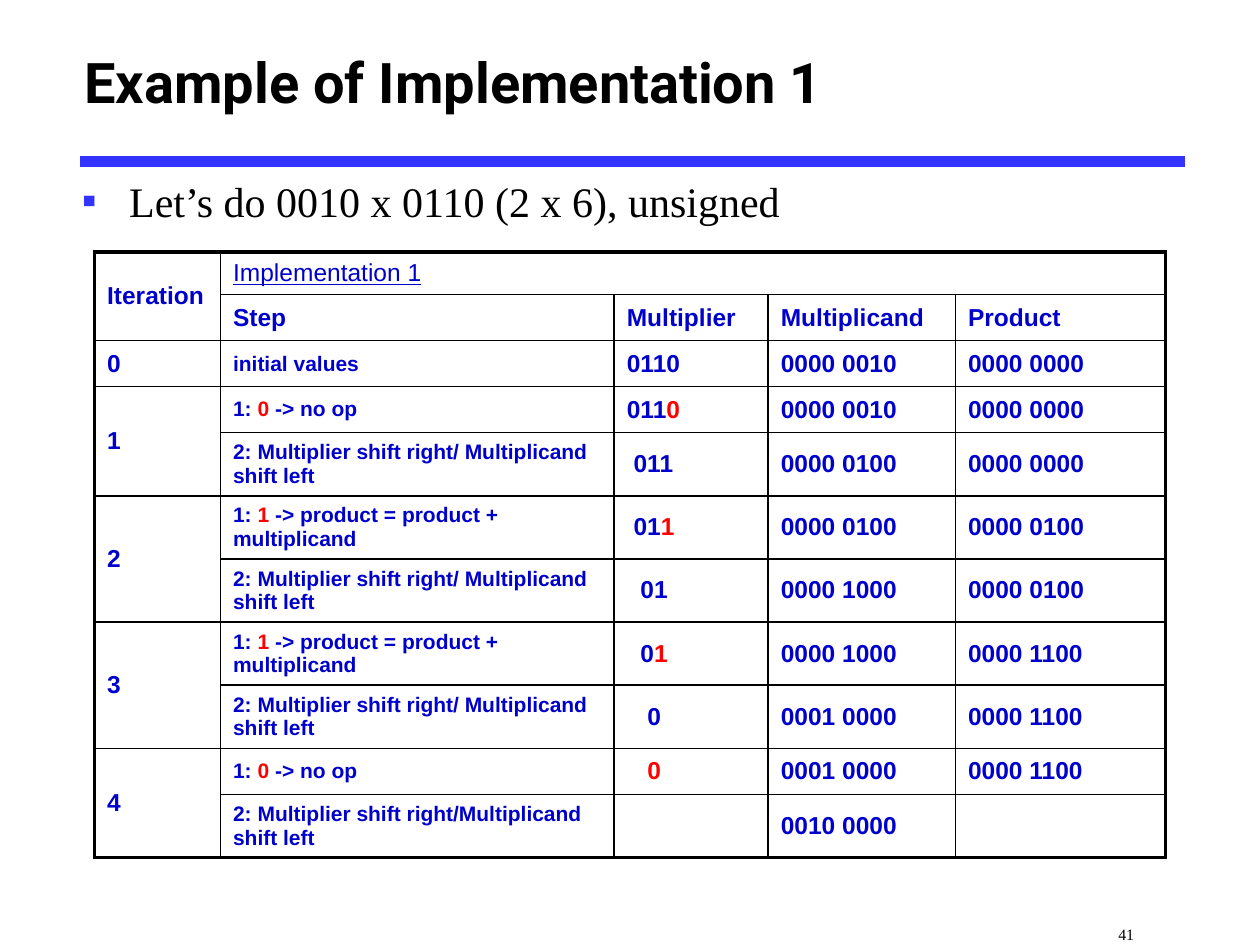
from dataclasses import dataclass

from lxml import etree
from pptx import Presentation
from pptx.dml.color import RGBColor
from pptx.enum import shapes, text
from pptx.oxml import parse_xml
from pptx.oxml.ns import nsdecls, qn
from pptx.util import Pt

BLUE, RED, BLACK, RULE = "0000CC", "FF0000", "000000", "3333FF"
THIN, THICK = 1, 2.25
SPACE = 3.9  # width of one digit step in the Multiplier column
COLS = [72, 225, 88, 107, 120]
TOP, LOW, HIGH = 24.4, 26.3, 36.1  # row heights
LEFT_SHIFT = "2: Multiplier shift right/ Multiplicand shift left"
ADD = "1: *1* -> product = product + multiplicand"
NO_OP = "1: *0* -> no op"
HEADS = ["Step", "Multiplier", "Multiplicand", "Product"]


@dataclass
class Step:
    """One table row; text between asterisks is red."""
    label: str
    note: str
    plier: str
    cand: str
    prod: str
    shift: int = 0
    height: float = HIGH


STEPS = [
    Step("0", "initial values", "0110", "0000 0010", "0000 0000", 0, LOW),
    Step("1", NO_OP, "011*0*", "0000 0010", "0000 0000", 0, LOW),
    Step("", LEFT_SHIFT, "011", "0000 0100", "0000 0000", 1),
    Step("2", ADD, "01*1*", "0000 0100", "0000 0100", 1),
    Step("", LEFT_SHIFT, "01", "0000 1000", "0000 0100", 2),
    Step("3", ADD, "0*1*", "0000 1000", "0000 1100", 2),
    Step("", LEFT_SHIFT, "0", "0001 0000", "0000 1100", 3),
    Step("4", NO_OP, "*0*", "0001 0000", "0000 1100", 3, LOW),
    Step("", LEFT_SHIFT.replace("/ ", "/"), "", "0010 0000", ""),
]


def paint(color, value: str) -> None:
    color.rgb = RGBColor.from_string(value)


def style(item, values: dict) -> None:
    for name, value in values.items():
        setattr(item, name, value)


def place(shape, left: float, top: float, width: float, height: float) -> None:
    style(shape, dict(left=Pt(left), top=Pt(top), width=Pt(width), height=Pt(height)))


def write(par, words: str, color: str, **font) -> None:
    for i, part in enumerate(words.split("*")):
        if part:
            run = par.add_run()
            run.text = part
            style(run.font, font)
            paint(run.font.color, RED if i % 2 else color)


def border(cell, row: int, col: int, rows: int, cols: int) -> None:
    edges = {
        "L": col == 0,
        "R": col + cell.span_width == cols if cell.is_merge_origin else col == cols - 1,
        "T": row == 0,
        "B": row + cell.span_height == rows if cell.is_merge_origin else row == rows - 1,
    }
    props = cell._tc.get_or_add_tcPr()
    for side, outer in edges.items():
        width = Pt(THICK if outer else THIN)
        props.append(parse_xml(
            f'<a:ln{side} {nsdecls("a")} w="{width}"><a:solidFill>'
            f'<a:srgbClr val="{BLACK}"/></a:solidFill></a:ln{side}>'))


def fill(cell, words: str, size: float = 14, shift: int = 0, **font) -> None:
    style(cell, dict(vertical_anchor=text.MSO_ANCHOR.MIDDLE,
                     margin_left=Pt(7.2 + shift * SPACE), margin_right=Pt(7.2),
                     margin_top=Pt(3.6), margin_bottom=Pt(3.6)))
    look = dict(name="Arial", size=Pt(size), bold=True) | font
    write(cell.text_frame.paragraphs[0], words, BLUE, **look)


def add_table(slide) -> None:
    heights = [TOP, LOW] + [step.height for step in STEPS]
    rows, cols = len(heights), len(COLS)
    table = slide.shapes.add_table(
        rows, cols, Pt(54), Pt(144), Pt(sum(COLS)), Pt(sum(heights))).table
    style(table, dict(first_row=False, horz_banding=False))
    for col, width in zip(table.columns, COLS):
        col.width = Pt(width)
    for row, height in zip(table.rows, heights):
        row.height = Pt(height)

    # Merged cells
    table.cell(0, 0).merge(table.cell(1, 0))
    table.cell(0, 1).merge(table.cell(0, cols - 1))
    for r, step in enumerate(STEPS, 2):
        if not step.label:
            table.cell(r - 1, 0).merge(table.cell(r, 0))

    # Head rows
    fill(table.cell(0, 0), "Iteration")
    fill(table.cell(0, 1), "Implementation 1", bold=False, underline=True)
    for c, head in enumerate(HEADS, 1):
        fill(table.cell(1, c), head)

    # Step rows
    for r, step in enumerate(STEPS, 2):
        if step.label:
            fill(table.cell(r, 0), step.label)
        fill(table.cell(r, 1), step.note, 12)
        fill(table.cell(r, 2), step.plier, shift=step.shift)
        fill(table.cell(r, 3), step.cand)
        fill(table.cell(r, 4), step.prod)

    # Borders, then clear fills
    for r in range(rows):
        for c in range(cols):
            cell = table.cell(r, c)
            if not cell.is_spanned:
                border(cell, r, c, rows, cols)
            cell.fill.background()


def add_rule(slide) -> None:
    rule = slide.shapes.add_connector(
        shapes.MSO_CONNECTOR.STRAIGHT, Pt(46), Pt(92.2), Pt(677), Pt(92.2))
    paint(rule.line.color, RULE)
    rule.line.width = Pt(6)
    etree.SubElement(rule._element.spPr, qn("a:effectLst"))


def add_title(slide) -> None:
    title = slide.shapes.title
    place(title, 41, 6, 612, 80.6)
    title.text_frame.vertical_anchor = text.MSO_ANCHOR.MIDDLE
    par = title.text_frame.paragraphs[0]
    par.alignment = text.PP_ALIGN.LEFT
    write(par, "Example of Implementation 1", BLACK, name="Roboto", size=Pt(32), bold=True)


def add_body(slide) -> None:
    body = slide.placeholders[1]
    place(body, 39.6, 94.3, 662.4, 440.6)
    body.text_frame.margin_top = Pt(6)
    par = body.text_frame.paragraphs[0]
    par.space_before = Pt(0)
    props = par._p.get_or_add_pPr()
    props.set("marL", str(Pt(27)))
    props.set("indent", str(Pt(-27)))
    tint = etree.SubElement(props, qn("a:buClr"))
    etree.SubElement(tint, qn("a:srgbClr"), val=RULE)
    etree.SubElement(props, qn("a:buFont"), typeface="Times New Roman")
    etree.SubElement(props, qn("a:buChar"), char="▪")
    write(par, "Let’s do 0010 x 0110 (2 x 6), unsigned", BLACK,
          name="Times New Roman", size=Pt(24))


def add_number(slide) -> None:
    box = slide.shapes.add_textbox(Pt(569), Pt(512.6), Pt(151), Pt(27.4))
    style(box.text_frame, dict(word_wrap=True, margin_right=Pt(72), margin_bottom=Pt(0.5),
                               vertical_anchor=text.MSO_ANCHOR.BOTTOM))
    par = box.text_frame.paragraphs[0]
    par.alignment = text.PP_ALIGN.RIGHT
    write(par, "41", BLACK, name="Times New Roman", size=Pt(9))


def main() -> None:
    deck = Presentation()
    style(deck, dict(slide_width=Pt(720), slide_height=Pt(540)))
    slide = deck.slides.add_slide(deck.slide_layouts[1])
    for draw in (add_rule, add_title, add_number, add_body, add_table):
        draw(slide)
    deck.save("out.pptx")


if __name__ == "__main__":
    main()
